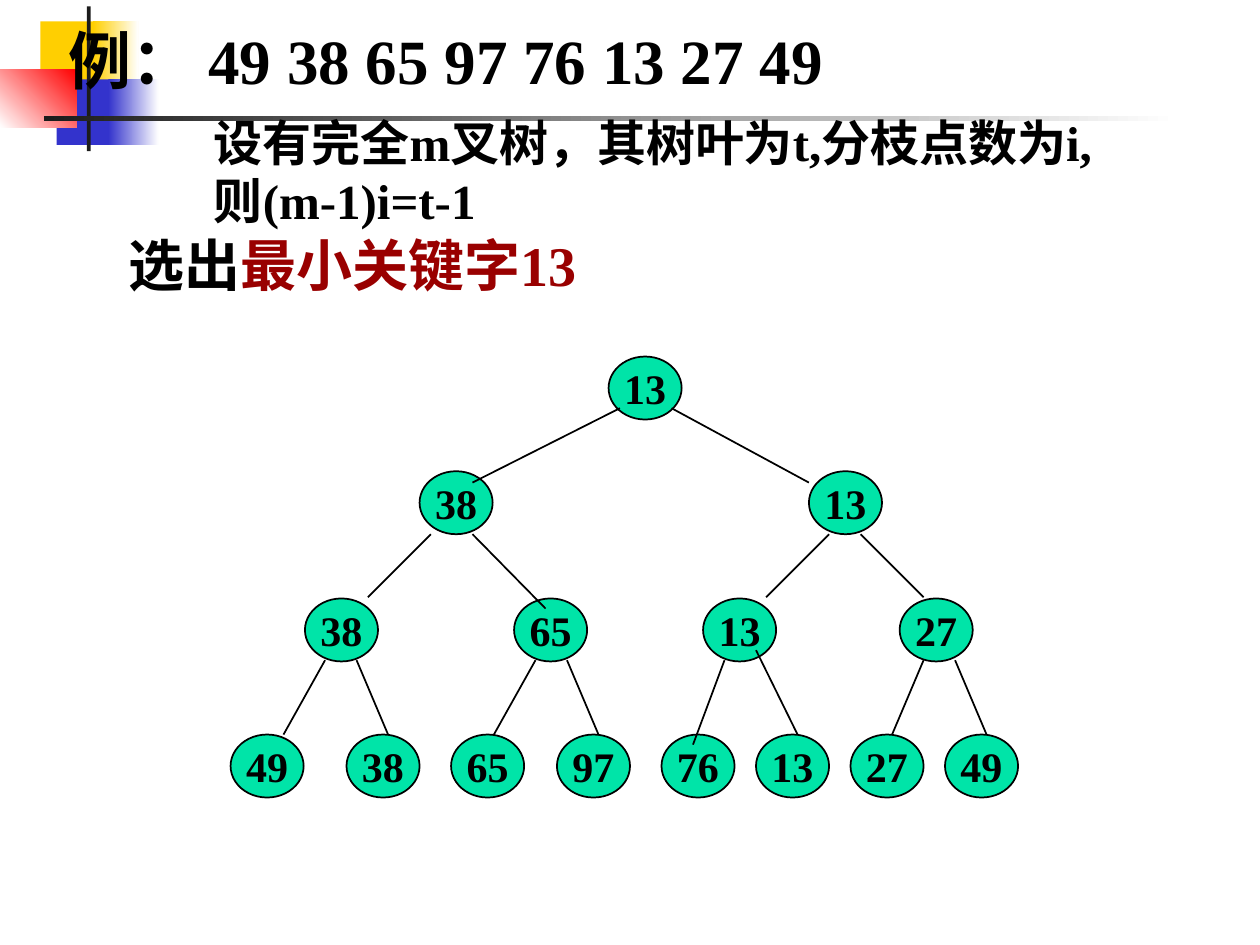
from lxml.etree import SubElement
from pptx import Presentation
from pptx.dml.color import RGBColor
from pptx.enum.shapes import MSO_CONNECTOR, MSO_SHAPE
from pptx.enum.text import MSO_ANCHOR, MSO_AUTO_SIZE, PP_ALIGN
from pptx.oxml.ns import qn
from pptx.util import Inches, Pt

BLACK, WHITE, DARK, RED = "000000", "FFFFFF", "1C1C1C", "990000"
YELLOW, BLUE, GREEN = "FFCF01", "3333CC", "00E4A8"


def rgb(code):
    return RGBColor.from_string(code)


def format_text(frame, size, align=PP_ALIGN.LEFT):
    for paragraph in frame.paragraphs:
        paragraph.alignment = align
        for run in paragraph.runs:
            run.font.name = "Times New Roman"
            run.font.size = Pt(size)
            run.font.bold = True
            run.font.color.rgb = rgb(BLACK)


prs = Presentation()
prs.slide_width, prs.slide_height = Inches(10), Inches(7.5)
slide = prs.slides.add_slide(prs.slide_layouts[5])
shapes = slide.shapes

# Corner ornament: left, top, width, height, colours, gradient angle
ornament = [
    (0.32, 0.17, 0.48, 0.52, [YELLOW], 0),
    (0.74, 0.17, 0.36, 0.52, [YELLOW, WHITE], 0),
    (0.45, 0.63, 0.46, 0.52, [BLUE], 0),
    (0.86, 0.63, 0.4, 0.52, [BLUE, WHITE], 0),
    (0, 0.55, 0.61, 0.46, [WHITE, "FF0000"], 45),
    (0.69, 0.05, 0.03, 1.15, [DARK], 0),
    (0.35, 0.92, 9, 0.04, [DARK, WHITE], 0),
]
for *box, colours, angle in ornament:
    block = shapes.add_shape(MSO_SHAPE.RECTANGLE, *map(Inches, box))
    block.shadow.inherit = False
    block.line.fill.background()
    if len(colours) == 1:
        block.fill.solid()
        block.fill.fore_color.rgb = rgb(colours[0])
    else:
        block.fill.gradient()
        block.fill.gradient_angle = angle
        for stop, colour in zip(block.fill.gradient_stops, colours):
            stop.color.rgb = rgb(colour)

# Tournament tree, leaves first: top of the level, then (left, key) of each node
levels = [
    (5.83, [(1.83, 49), (2.75, 38), (3.58, 65), (4.42, 97),
            (5.25, 76), (6, 13), (6.75, 27), (7.5, 49)]),
    (4.75, [(2.42, 38), (4.08, 65), (5.58, 13), (7.14, 27)]),
    (3.74, [(3.33, 38), (6.42, 13)]),
    (2.83, [(4.83, 13)]),
]
for top, nodes in levels:
    for left, key in nodes:
        node = shapes.add_shape(MSO_SHAPE.OVAL, Inches(left), Inches(top),
                                Inches(0.58), Inches(0.5))
        node.shadow.inherit = False
        node.fill.solid()
        node.fill.fore_color.rgb = rgb(GREEN)
        node.line.color.rgb = rgb(BLACK)
        node.line.width = Pt(1)
        node.text_frame.word_wrap = False
        node.text_frame.vertical_anchor = MSO_ANCHOR.MIDDLE
        node.text_frame.text = str(key)
        format_text(node.text_frame, 24, PP_ALIGN.CENTER)

# Branches: x and y at the parent, x and y at the child
branches = [
    (4.92, 3.24, 3.75, 3.83), (5.33, 3.24, 6.42, 3.83),
    (3.42, 4.24, 2.92, 4.74), (3.75, 4.24, 4.33, 4.83),
    (6.58, 4.24, 6.08, 4.74), (6.83, 4.24, 7.33, 4.74),
    (2.58, 5.24, 2.25, 5.83), (2.83, 5.24, 3.08, 5.83),
    (4.25, 5.24, 3.92, 5.83), (4.5, 5.24, 4.75, 5.83),
    (5.75, 5.24, 5.5, 5.91), (6, 5.16, 6.33, 5.83),
    (7.33, 5.24, 7.08, 5.83), (7.58, 5.24, 7.83, 5.83),
]
for ends in branches:
    branch = shapes.add_connector(MSO_CONNECTOR.STRAIGHT, *map(Inches, ends))
    branch.line.color.rgb = rgb(BLACK)
    branch.line.width = Pt(1)
    SubElement(branch.element.spPr, qn("a:effectLst"))

selection = shapes.add_textbox(Inches(0.92), Inches(1.78), Inches(4), Inches(0.64))
selection.text_frame.word_wrap = True
sentence = selection.text_frame.paragraphs[0]
for part in ("选出", "最小关键字13"):
    sentence.add_run().text = part
format_text(selection.text_frame, 32)
sentence.runs[1].font.color.rgb = rgb(RED)

title = shapes.title
title.left, title.top = Inches(0.44), Inches(0.12)
title.width, title.height = Inches(6.44), Inches(0.7)
title.text_frame.word_wrap = False
title.text_frame.auto_size = MSO_AUTO_SIZE.NONE
title.text_frame.vertical_anchor = MSO_ANCHOR.TOP
title.text_frame.text = "例： 49 38 65 97 76 13 27 49"
format_text(title.text_frame, 36)
title.element.getparent().append(title.element)  # in front of the ornament

theorem = shapes.add_textbox(Inches(1.6), Inches(0.84), Inches(8), Inches(1.05))
theorem.text_frame.word_wrap = True
theorem.text_frame.text = "设有完全m叉树，其树叶为t,分枝点数为i,\n则(m-1)i=t-1"
format_text(theorem.text_frame, 28)

prs.save("out.pptx")
